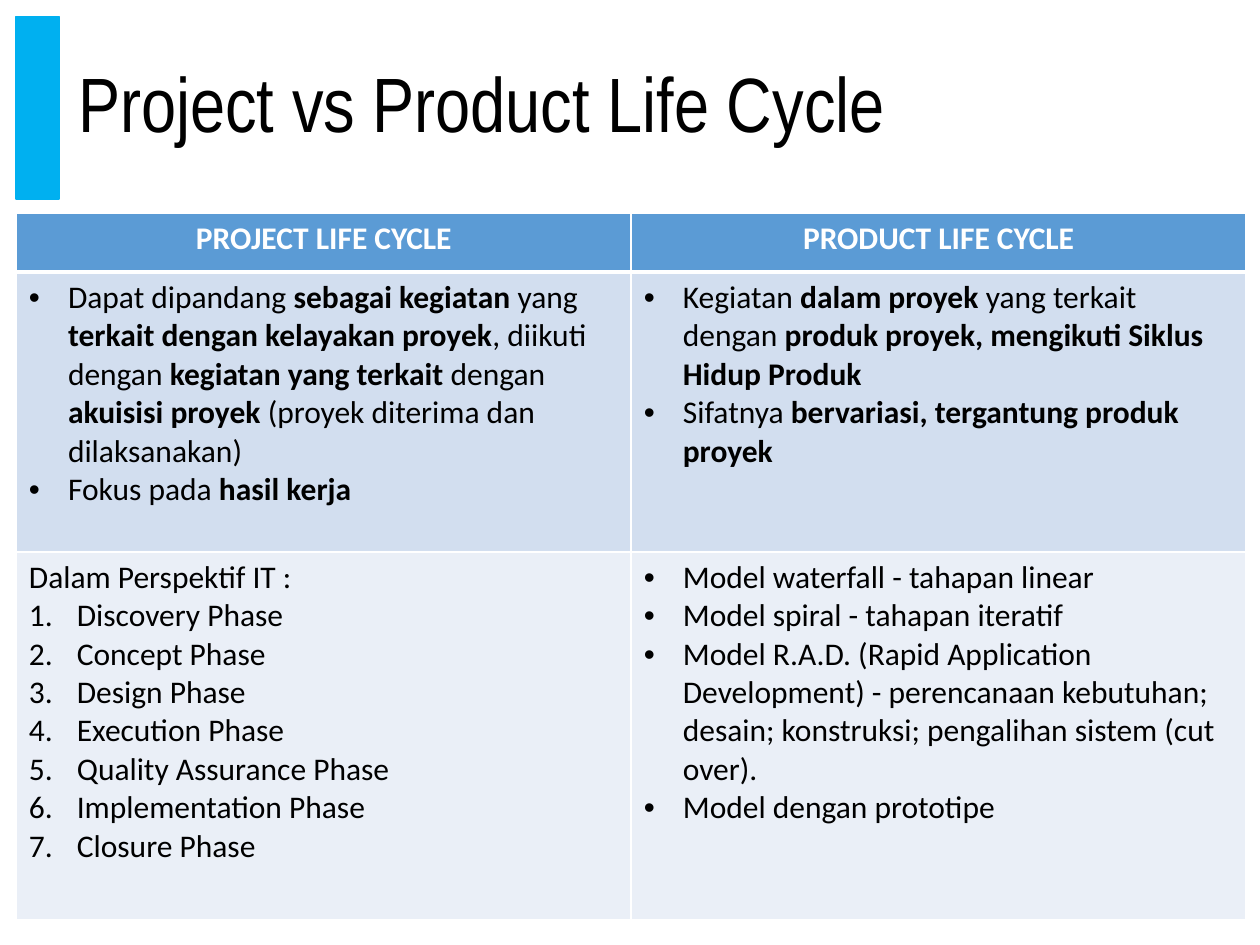
from lxml import etree
from pptx import Presentation
from pptx.dml.color import RGBColor
from pptx.enum.shapes import MSO_SHAPE
from pptx.enum.text import MSO_ANCHOR, PP_ALIGN
from pptx.oxml.ns import qn
from pptx.util import Inches, Pt

RECTANGLE = MSO_SHAPE.RECTANGLE
MIDDLE = MSO_ANCHOR.MIDDLE
LEFT, CENTER = PP_ALIGN.LEFT, PP_ALIGN.CENTER

BLACK = RGBColor(0x00, 0x00, 0x00)
WHITE = RGBColor(0xFF, 0xFF, 0xFF)
ACCENT = RGBColor(0x00, 0xB0, 0xF0)
HEADER_FILL = RGBColor(0x5B, 0x9B, 0xD5)
ROW_FILLS = [RGBColor(0xD2, 0xDE, 0xEF), RGBColor(0xEA, 0xEF, 0xF7)]

MARGIN = Inches(0.13)
BAND_HEIGHT = Inches(1.45)
COLUMN_WIDTH = Inches(4.88)
ROW_HEIGHTS = [Inches(0.47), Inches(2.22), Inches(2.92)]
BULLET_INDENT, NUMBER_INDENT = Inches(0.31), Inches(0.38)

# Each line is (marker, text); ** switches bold on and off
HEADINGS = ["PROJECT LIFE CYCLE", "PRODUCT LIFE CYCLE"]
PHASES = ["Discovery", "Concept", "Design", "Execution",
          "Quality Assurance", "Implementation", "Closure"]
COMPARISON = [
    [
        [("•", "Dapat dipandang **sebagai kegiatan **yang **terkait dengan "
               "kelayakan proyek**, diikuti dengan **kegiatan yang terkait "
               "**dengan **akuisisi proyek **(proyek diterima dan "
               "dilaksanakan)"),
         ("•", "Fokus pada **hasil kerja")],
        [("•", "Kegiatan **dalam proyek **yang terkait dengan **produk "
               "proyek, mengikuti Siklus Hidup Produk"),
         ("•", "Sifatnya **bervariasi, tergantung produk proyek")],
    ],
    [
        [("", "Dalam Perspektif IT :")]
        + [("1.", f"{phase} Phase") for phase in PHASES],
        [("•", "Model waterfall - tahapan linear"),
         ("•", "Model spiral - tahapan iteratif"),
         ("•", "Model R.A.D. (Rapid Application Development) - perencanaan "
               "kebutuhan; desain; konstruksi; pengalihan sistem (cut over)."),
         ("•", "Model dengan prototipe")],
    ],
]


def set_font(run, name, size, color, bold=False):
    font = run.font
    font.name, font.size, font.bold = name, Pt(size), bold
    font.color.rgb = color


def set_marker(paragraph, marker):
    if not marker:
        return
    indent = BULLET_INDENT if marker == "•" else NUMBER_INDENT
    properties = paragraph._p.get_or_add_pPr()
    properties.set("marL", str(indent))
    properties.set("indent", str(-indent))
    etree.SubElement(properties, qn("a:buFont"), typeface="Arial")
    if marker == "•":
        etree.SubElement(properties, qn("a:buChar"), char=marker)
    else:
        etree.SubElement(properties, qn("a:buAutoNum"), type="arabicPeriod")


def style_cell(cell, fill, bottom_width=1):
    properties = cell._tc.get_or_add_tcPr()
    for side, width in (("L", 1), ("R", 1), ("T", 1), ("B", bottom_width)):
        border = etree.SubElement(properties, qn(f"a:ln{side}"),
                                  w=str(Pt(width)))
        solid = etree.SubElement(border, qn("a:solidFill"))
        etree.SubElement(solid, qn("a:srgbClr"), val=str(WHITE))
    cell.fill.solid()
    cell.fill.fore_color.rgb = fill


def write_lines(cell, lines):
    frame = cell.text_frame
    for number, (marker, text) in enumerate(lines):
        paragraph = frame.add_paragraph() if number else frame.paragraphs[0]
        set_marker(paragraph, marker)
        for part, words in enumerate(text.split("**")):
            run = paragraph.add_run()
            run.text = words
            set_font(run, "Calibri", 18, BLACK, bold=part % 2 == 1)


def add_accent_bar(slide):
    bar = slide.shapes.add_shape(RECTANGLE, MARGIN, MARGIN,
                                 Inches(0.34), BAND_HEIGHT)
    bar.shadow.inherit = False
    bar.fill.solid()
    bar.fill.fore_color.rgb = ACCENT
    bar.line.color.rgb = ACCENT
    bar.line.width = Pt(1)


def set_title(slide, text):
    title = slide.shapes.title
    title.left, title.top = Inches(0.52), MARGIN
    title.width, title.height = Inches(9.1), BAND_HEIGHT
    frame = title.text_frame
    frame.text = text
    frame.vertical_anchor = MIDDLE
    paragraph = frame.paragraphs[0]
    paragraph.alignment = LEFT
    paragraph.line_spacing = 0.9
    set_font(paragraph.runs[0], "Arial Narrow", 44, BLACK)


def add_comparison_table(slide):
    table = slide.shapes.add_table(
        len(ROW_HEIGHTS), len(HEADINGS), MARGIN, Inches(1.69),
        COLUMN_WIDTH * len(HEADINGS), sum(ROW_HEIGHTS)).table
    for column in table.columns:
        column.width = COLUMN_WIDTH
    for row, height in zip(table.rows, ROW_HEIGHTS):
        row.height = height

    # Header row
    for column, heading in enumerate(HEADINGS):
        cell = table.cell(0, column)
        style_cell(cell, HEADER_FILL, bottom_width=3)
        cell.text_frame.text = heading
        paragraph = cell.text_frame.paragraphs[0]
        paragraph.alignment = CENTER
        set_font(paragraph.runs[0], "Calibri", 18, WHITE, bold=True)

    # Body rows
    for row, (fill, contents) in enumerate(zip(ROW_FILLS, COMPARISON), 1):
        for column, lines in enumerate(contents):
            cell = table.cell(row, column)
            style_cell(cell, fill)
            if row == 1:
                top = cell._tc.tcPr.find(qn("a:lnT"))
                top.set("w", str(Pt(3)))
            write_lines(cell, lines)


def main():
    presentation = Presentation()
    presentation.slide_width = Inches(10)
    presentation.slide_height = Inches(7.5)
    title_only = presentation.slide_layouts[5]
    slide = presentation.slides.add_slide(title_only)
    add_accent_bar(slide)
    set_title(slide, "Project vs Product Life Cycle")
    add_comparison_table(slide)
    presentation.save("out.pptx")


if __name__ == "__main__":
    main()
